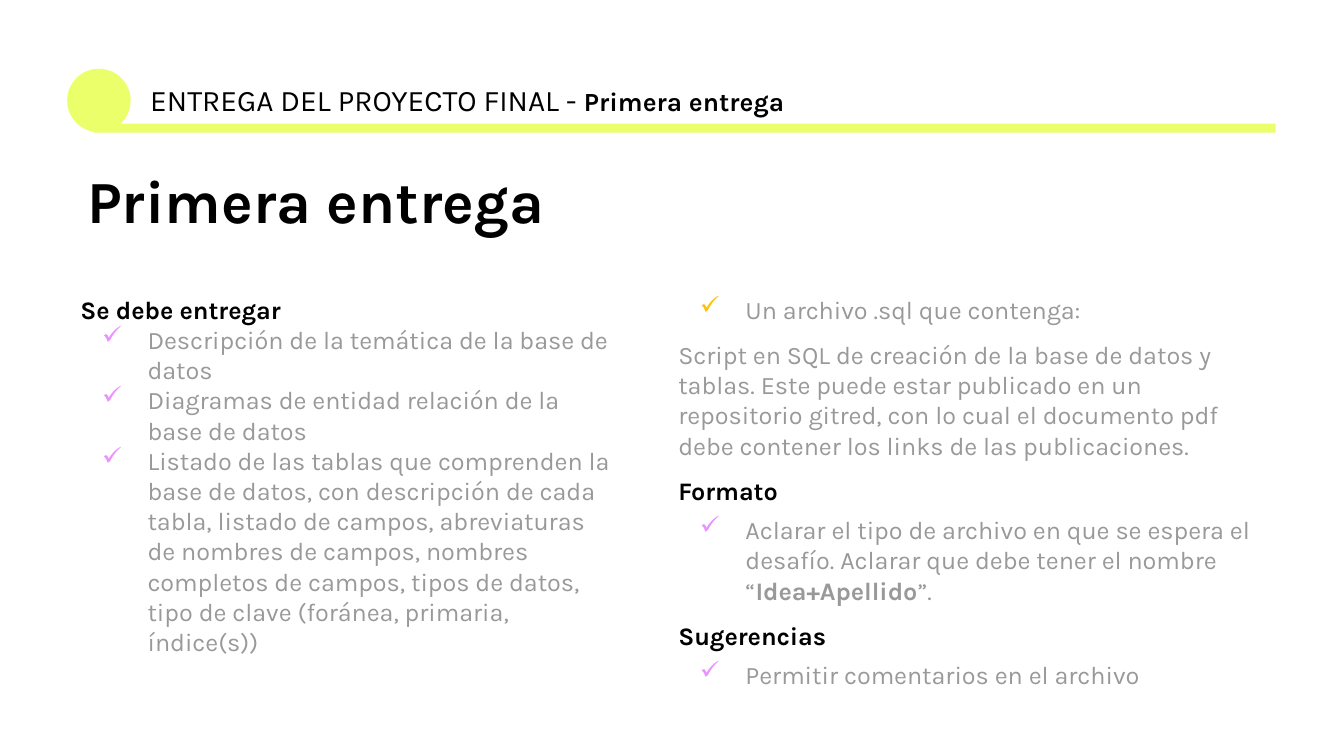
from lxml import etree
from pptx import Presentation
from pptx import util as u
from pptx.dml.color import RGBColor
from pptx.enum import shapes, text
from pptx.oxml.ns import qn

HUES = {"lime": "EAFF6A", "ink": "000000", "gray": "999999",
        "pink": "EA90FF", "gold": "FFC000"}
FONT = "Karla"
SIZE = 13.5

# Content: runs are (text, bold); columns hold (runs, colour, tick, space before)
HEAD = [("ENTREGA DEL PROYECTO FINAL - ", False, 16), ("Primera entrega", True, 14)]
TITLE = "Primera entrega"
LEFT = [
    ([("Se debe entregar", True)], "ink", None, 0),
    ([("Descripción de la temática de la base de datos", False)], "gray", "pink", 0),
    ([("Diagramas de entidad relación de la base de datos", False)], "gray", "pink", 0),
    ([("Listado de las tablas que comprenden la base de datos, con descripción "
       "de cada tabla, listado de campos, abreviaturas de nombres de campos, "
       "nombres completos de campos, tipos de datos, tipo de clave (foránea, "
       "primaria, índice(s))", False)], "gray", "pink", 0),
]
RIGHT = [
    ([("Un archivo .sql que contenga:", False)], "gray", "gold", 0),
    ([("Script en SQL de creación de la base de datos y tablas. Este puede estar "
       "publicado en un repositorio gitred, con lo cual el documento pdf debe "
       "contener los links de las publicaciones.", False)], "gray", None, 8),
    ([("Formato", True)], "ink", None, 8),
    ([("Aclarar el tipo de archivo en que se espera el desafío. Aclarar que debe "
       "tener el nombre “", False), ("Idea+Apellido", True), ("”.", False)],
     "gray", "pink", 5),
    ([("Sugerencias", True)], "ink", None, 8),
    ([("Permitir comentarios en el archivo", False)], "gray", "pink", 5),
]

deck = Presentation()
deck.slide_width, deck.slide_height = u.Cm(25.4), u.Cm(14.29)
slide = deck.slides.add_slide(deck.slide_layouts[6])


def paint(kind, *box):
    shape = slide.shapes.add_shape(kind, *map(u.Cm, box))
    shape.shadow.inherit = False
    shape.fill.solid()
    shape.fill.fore_color.rgb = RGBColor.from_string(HUES["lime"])
    shape.line.fill.background()


def frame(*box):
    body = slide.shapes.add_textbox(*map(u.Cm, box)).text_frame
    body.word_wrap = True
    body.vertical_anchor = text.MSO_ANCHOR.TOP
    body.margin_left = body.margin_right = u.Cm(0.25)
    body.margin_top = body.margin_bottom = u.Cm(0.25)
    return body


def style(para, size, hue):
    para.font.name = FONT
    para.font.size = u.Pt(size)
    para.font.color.rgb = RGBColor.from_string(HUES[hue])


def write(para, words, bold):
    run = para.add_run()
    run.text = words
    run.font.bold = bold
    return run


def tick(para, hue):
    props = para._p.get_or_add_pPr()
    props.set("marL", str(u.Cm(1.27)))
    props.set("indent", str(-u.Cm(0.86)))
    color = etree.SubElement(props, qn("a:buClr"))
    etree.SubElement(color, qn("a:srgbClr"), val=HUES[hue])
    etree.SubElement(props, qn("a:buChar"), char="✓")


def column(body, rows):
    for i, (runs, hue, mark, gap) in enumerate(rows):
        para = body.add_paragraph() if i else body.paragraphs[0]
        para.space_before = u.Pt(gap)
        if mark:
            tick(para, mark)
        style(para, SIZE, hue)
        for words, bold in runs:
            write(para, words, bold)


# Header band
paint(shapes.MSO_SHAPE.OVAL, 1.27, 1.3, 1.2, 1.2)
paint(shapes.MSO_SHAPE.RECTANGLE, 1.78, 2.34, 22.33, 0.17)
head = frame(2.59, 1.3, 16, 1.8).paragraphs[0]
style(head, 16, "ink")
for words, bold, size in HEAD:
    write(head, words, bold).font.size = u.Pt(size)

# Title
title = frame(1.4, 3, 20.3, 1.75).paragraphs[0]
title.line_spacing = 0.9
style(title, 32, "ink")
write(title, TITLE, True)

# Two columns
column(frame(1.27, 5.31, 10.64, 7.44), LEFT)
column(frame(12.57, 5.31, 11.4, 8.05), RIGHT)

deck.save("out.pptx")
